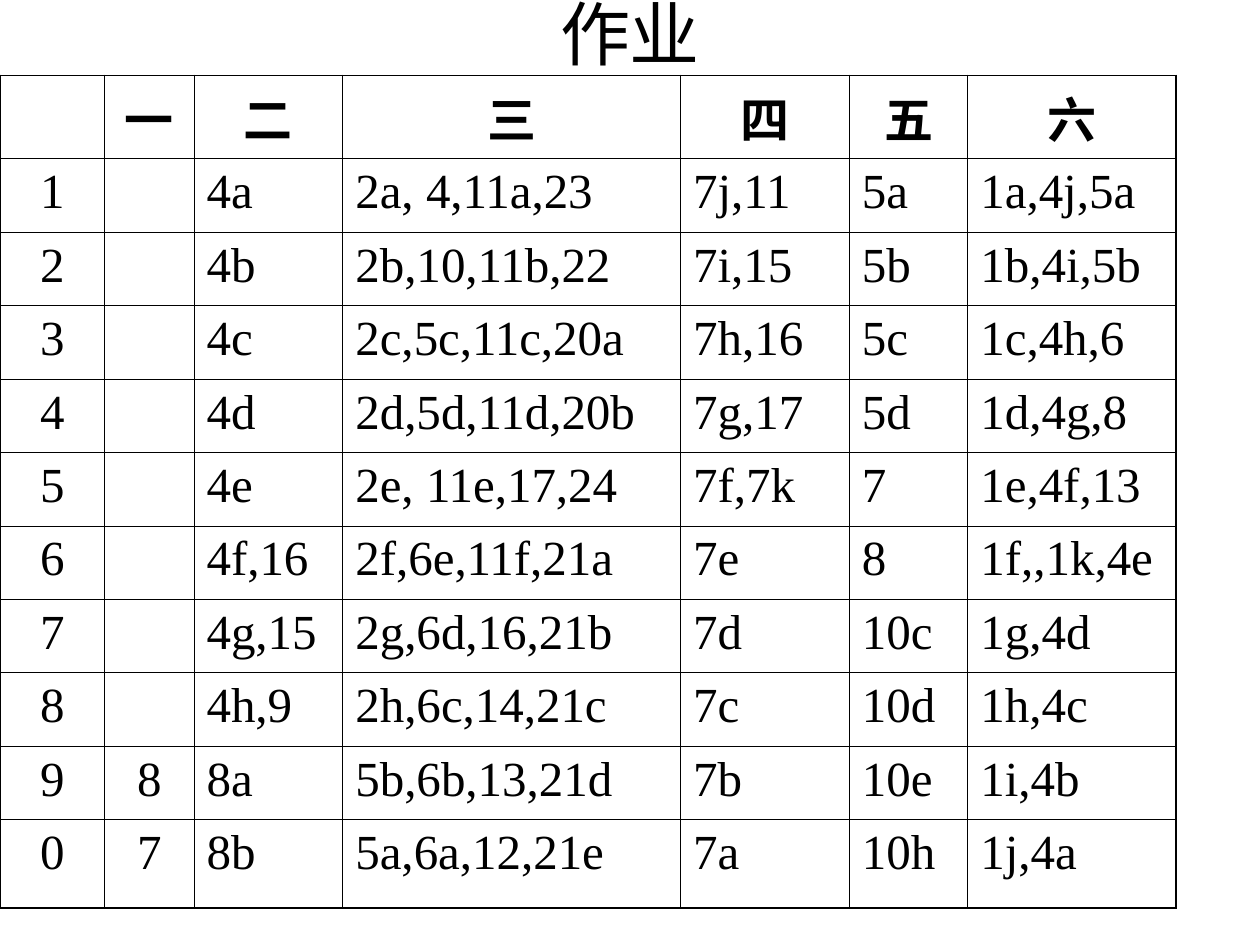
from lxml.etree import SubElement
from pptx import Presentation
from pptx.dml.color import RGBColor
from pptx.enum.text import MSO_ANCHOR as Anchor, MSO_AUTO_SIZE as AutoSize, PP_ALIGN as Align
from pptx.oxml.ns import qn
from pptx.util import Cm, Pt

COLORS = {"ink": "000000"}
FONT = "Times New Roman"
THIN, THICK = Pt(0.45), Pt(1.08)

COL_WIDTHS = [2.11, 1.8, 3, 6.81, 3.4, 2.39, 4.19]
ROW_HEIGHT, LAST_ROW_HEIGHT = 1.48, 1.78
CENTERED_COLS = 2
HOMEWORK = [
    ["", "一", "二", "三", "四", "五", "六"],
    ["1", "", "4a", "2a, 4,11a,23", "7j,11", "5a", "1a,4j,5a"],
    ["2", "", "4b", "2b,10,11b,22", "7i,15", "5b", "1b,4i,5b"],
    ["3", "", "4c", "2c,5c,11c,20a", "7h,16", "5c", "1c,4h,6"],
    ["4", "", "4d", "2d,5d,11d,20b", "7g,17", "5d", "1d,4g,8"],
    ["5", "", "4e", "2e, 11e,17,24", "7f,7k", "7", "1e,4f,13"],
    ["6", "", "4f,16", "2f,6e,11f,21a", "7e", "8", "1f,,1k,4e"],
    ["7", "", "4g,15", "2g,6d,16,21b", "7d", "10c", "1g,4d"],
    ["8", "", "4h,9", "2h,6c,14,21c", "7c", "10d", "1h,4c"],
    ["9", "8", "8a", "5b,6b,13,21d", "7b", "10e", "1i,4b"],
    ["0", "7", "8b", "5a,6a,12,21e", "7a", "10h", "1j,4a"],
]


class SlideBuilder:
    def __init__(self, slide, font, colors):
        self.s, self.font, self.colors = slide, font, colors

    def add_text(self, tf, text, size, align, bold=False):
        p = tf.paragraphs[0]
        p.alignment = align
        r = p.add_run()
        r.text = text
        r.font.name, r.font.size, r.font.bold = self.font, Pt(size), bold
        r.font.color.rgb = RGBColor.from_string(self.colors["ink"])

    def title(self, text, left, top, width, height):
        sp = self.s.shapes.title
        sp.left, sp.top, sp.width, sp.height = map(Cm, (left, top, width, height))
        tf = sp.text_frame
        tf.auto_size, tf.vertical_anchor = AutoSize.NONE, Anchor.MIDDLE
        self.add_text(tf, text, 40, Align.CENTER)

    def border(self, cell, side, width):
        ln = SubElement(cell._tc.get_or_add_tcPr(), qn(f"a:ln{side}"), w=str(int(width)))
        fill = SubElement(ln, qn("a:solidFill"))
        SubElement(fill, qn("a:srgbClr"), val=self.colors["ink"])

    def table(self, data, left, top, widths, heights):
        """Draw a plain grid with a heavier outer frame and a bold first row."""
        frame = self.s.shapes.add_table(len(data), len(widths), Cm(left), Cm(top),
                                        Cm(sum(widths)), Cm(sum(heights)))
        table = frame.table
        table.first_row = table.horz_banding = False
        for column, width in zip(table.columns, widths):
            column.width = Cm(width)
        for row, height in zip(table.rows, heights):
            row.height = Cm(height)
        for i, texts in enumerate(data):
            for j, text in enumerate(texts):
                cell = table.cell(i, j)
                outer = {"L": j == 0, "R": j == len(widths) - 1,
                         "T": i == 0, "B": i == len(data) - 1}
                for side, on_frame in outer.items():
                    self.border(cell, side, THICK if on_frame else THIN)
                cell.fill.background()
                if text:
                    centered = i == 0 or j < CENTERED_COLS
                    self.add_text(cell.text_frame, text, 28,
                                  Align.CENTER if centered else Align.LEFT, bold=i == 0)


def main():
    prs = Presentation()
    prs.slide_width, prs.slide_height = Cm(25.4), Cm(19.05)
    title_only = prs.slide_layouts[5]
    builder = SlideBuilder(prs.slides.add_slide(title_only), FONT, COLORS)
    builder.title("作业", 1.9, 0, 21.6, 1.32)
    heights = [ROW_HEIGHT] * (len(HOMEWORK) - 1) + [LAST_ROW_HEIGHT]
    builder.table(HOMEWORK, 0, 1.52, COL_WIDTHS, heights)
    prs.save("out.pptx")


if __name__ == "__main__":
    main()
